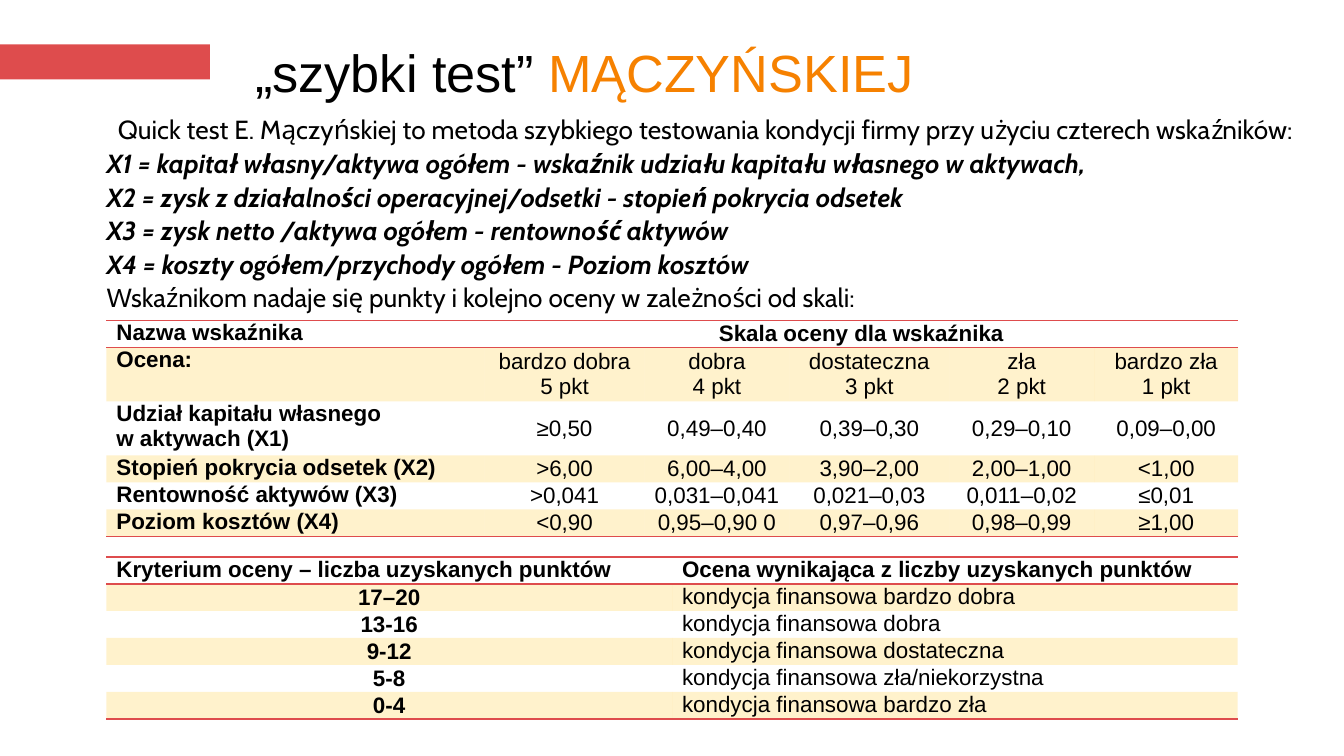
"""Build the slide on the quick test with its two score tables."""
from lxml import etree
from pptx import Presentation
from pptx.dml.color import RGBColor
from pptx.enum.shapes import MSO_SHAPE
from pptx.enum.text import MSO_ANCHOR, MSO_AUTO_SIZE, PP_ALIGN
from pptx.oxml.ns import qn
from pptx.util import Cm, Pt

RECT = MSO_SHAPE.RECTANGLE
TOP, MIDDLE = MSO_ANCHOR.TOP, MSO_ANCHOR.MIDDLE
FIXED = MSO_AUTO_SIZE.NONE
LEFT, CENTER = PP_ALIGN.LEFT, PP_ALIGN.CENTER

RED = RGBColor(0xDE, 0x4C, 0x4D)
ORANGE = RGBColor(0xF6, 0x81, 0x00)
AMBER = RGBColor(0xFF, 0xC0, 0x00)
BLACK = RGBColor(0x00, 0x00, 0x00)
PLAIN = "{2D5ABB26-0587-4C30-8999-92F81FD0307C}"

INTRO = ("Quick test E. Mączyńskiej to metoda szybkiego testowania kondycji "
         "firmy przy użyciu czterech wskaźników:")
RATIOS = [
    "X1 = kapitał własny/aktywa ogółem - wskaźnik udziału kapitału własnego w aktywach,",
    "X2 = zysk z działalności operacyjnej/odsetki - stopień pokrycia odsetek",
    "X3 = zysk netto /aktywa ogółem - rentowność aktywów",
    "X4 = koszty ogółem/przychody ogółem - Poziom kosztów",
]
CLOSE = "Wskaźnikom nadaje się punkty i kolejno oceny w zależności od skali:"

SCALE = [
    ["Nazwa wskaźnika", "Skala oceny dla wskaźnika"],
    ["Ocena:", "bardzo dobra\n5 pkt", "dobra\n4 pkt", "dostateczna\n3 pkt",
     "zła\n2 pkt", "bardzo zła\n1 pkt"],
    ["Udział kapitału własnego\nw aktywach (X1)", "≥0,50", "0,49–0,40",
     "0,39–0,30", "0,29–0,10", "0,09–0,00"],
    ["Stopień pokrycia odsetek (X2)", ">6,00", "6,00–4,00", "3,90–2,00",
     "2,00–1,00", "<1,00"],
    ["Rentowność aktywów (X3)", ">0,041", "0,031–0,041", "0,021–0,03",
     "0,011–0,02", "≤0,01"],
    ["Poziom kosztów (X4)", "<0,90", "0,95–0,90 0", "0,97–0,96",
     "0,98–0,99", "≥1,00"],
]
RESULT = [
    ["Kryterium oceny – liczba uzyskanych punktów",
     "Ocena wynikająca z liczby uzyskanych punktów"],
    ["17–20", "kondycja finansowa bardzo dobra"],
    ["13-16", "kondycja finansowa dobra"],
    ["9-12", "kondycja finansowa dostateczna"],
    ["5-8", "kondycja finansowa zła/niekorzystna"],
    ["0-4", "kondycja finansowa bardzo zła"],
]


def write(par, words, size=12, font="Arial", color=BLACK, bold=False,
          ital=False, align=LEFT):
    """Add a formatted run to a paragraph."""
    par.alignment = align
    run = par.add_run()
    run.text = words
    run.font.size, run.font.name = Pt(size), font
    run.font.bold, run.font.italic = bold, ital
    run.font.color.rgb = color


def pars(frame, count):
    """Return the given number of paragraphs of an empty frame."""
    return [frame.paragraphs[0]] + [frame.add_paragraph() for _ in range(count - 1)]


def rule(cell, side):
    """Draw a red line along one side of a cell."""
    line = etree.Element(qn("a:" + side), w=str(Pt(1)))
    fill = etree.SubElement(line, qn("a:solidFill"))
    etree.SubElement(fill, qn("a:srgbClr"), val=str(RED))
    props = cell._tc.get_or_add_tcPr()
    props.insert(len(props.findall(qn("a:lnT"))), line)


class Page:
    """Hold the style and the current slide."""

    def __init__(self, deck):
        """Start a slide with a title and a body."""
        self.slide = deck.slides.add_slide(deck.slide_layouts[1])
        self.left, self.row, self.pad = Cm(2.01), Cm(0.51), Cm(0.19)

    def place(self, shape, left, top, width, height):
        """Move a placeholder and return its text frame."""
        shape.left, shape.top = Cm(left), Cm(top)
        shape.width, shape.height = Cm(width), Cm(height)
        frame = shape.text_frame
        frame.word_wrap, frame.auto_size = True, FIXED
        frame.vertical_anchor = TOP
        return frame

    def bar(self, left, top, width, height):
        """Draw a plain red bar."""
        shape = self.slide.shapes.add_shape(
            RECT, Cm(left), Cm(top), Cm(width), Cm(height))
        shape.shadow.inherit = False
        shape.fill.solid()
        shape.fill.fore_color.rgb = RED
        shape.line.fill.background()

    def title(self, *parts):
        """Write the title from pairs of text and colour."""
        frame = self.place(self.slide.shapes.title, 4.57, 0.38, 18.01, 1.6)
        frame.margin_top, frame.margin_bottom = Cm(0.38), 0
        for words, color in parts:
            write(frame.paragraphs[0], words, size=28, color=color)

    def body(self, items):
        """Write the body from pairs of text and format."""
        frame = self.place(self.slide.placeholders[1], 0.51, 1.98, 24.41, 4.06)
        for par, (words, form) in zip(pars(frame, len(items)), items):
            props = par._p.get_or_add_pPr()
            props.set("marL", "0")
            props.set("indent", str(Cm(1.25)))
            etree.SubElement(props, qn("a:buNone"))
            par.space_before, par.line_spacing = Pt(0), 1.07
            write(par, words, size=14, font="Cabin", **form)

    def grid(self, rows, widths, top, mid):
        """Draw a banded table; mid tells which cells are centred."""
        table = self.slide.shapes.add_table(
            len(rows), len(widths), self.left, Cm(top),
            Cm(sum(widths)), self.row * len(rows)).table
        table._tbl.tblPr.find(qn("a:tableStyleId")).text = PLAIN
        table.first_row = table.horz_banding = False
        for col, width in zip(table.columns, widths):
            col.width = Cm(width)
        for r, words in enumerate(rows):
            lines = max(text.count("\n") + 1 for text in words)
            table.rows[r].height = self.row * lines
            for c in range(len(widths)):
                cell = table.cell(r, c)
                self.band(cell, r, len(rows) - 1)
                if c < len(words):
                    self.fill(cell, words[c], r == 0 or c == 0, mid(r, c))
        if len(rows[0]) < len(widths):
            table.cell(0, len(rows[0]) - 1).merge(table.cell(0, len(widths) - 1))

    def band(self, cell, row, last):
        """Set the fill, lines and margins of a cell."""
        if row % 2:
            cell.fill.solid()
            cell.fill.fore_color.rgb = AMBER
            color = cell._tc.tcPr.find(".//" + qn("a:srgbClr"))
            etree.SubElement(color, qn("a:alpha"), val="20000")
        else:
            cell.fill.background()
        if row == 0:
            rule(cell, "lnT")
        if row in (0, last):
            rule(cell, "lnB")
        cell.margin_left = cell.margin_right = self.pad
        cell.margin_top = cell.margin_bottom = 0

    def fill(self, cell, words, bold, mid):
        """Write the lines of a cell."""
        cell.vertical_anchor = MIDDLE if mid else TOP
        lines = words.split("\n")
        for par, line in zip(pars(cell.text_frame, len(lines)), lines):
            write(par, line, bold=bold, align=CENTER if mid else LEFT)


def main():
    """Build and save the slide."""
    deck = Presentation()
    deck.slide_width, deck.slide_height = Cm(25.4), Cm(14.28)
    page = Page(deck)
    page.bar(0, 0.84, 3.97, 0.66)
    page.title(("„szybki test” ", BLACK), ("MĄCZYŃSKIEJ", ORANGE))
    strong = {"bold": True, "ital": True}
    page.body([(INTRO, {"align": CENTER}), *((text, strong) for text in RATIOS),
               (CLOSE, {})])
    page.grid(SCALE, [7.15, 3.02, 2.74, 3.02, 2.74, 2.72], 6.05,
              lambda r, c: c > 0)
    page.grid(RESULT, [10.69, 10.69], 10.52, lambda r, c: r > 0 and c == 0)
    deck.save("out.pptx")


if __name__ == "__main__":
    main()
